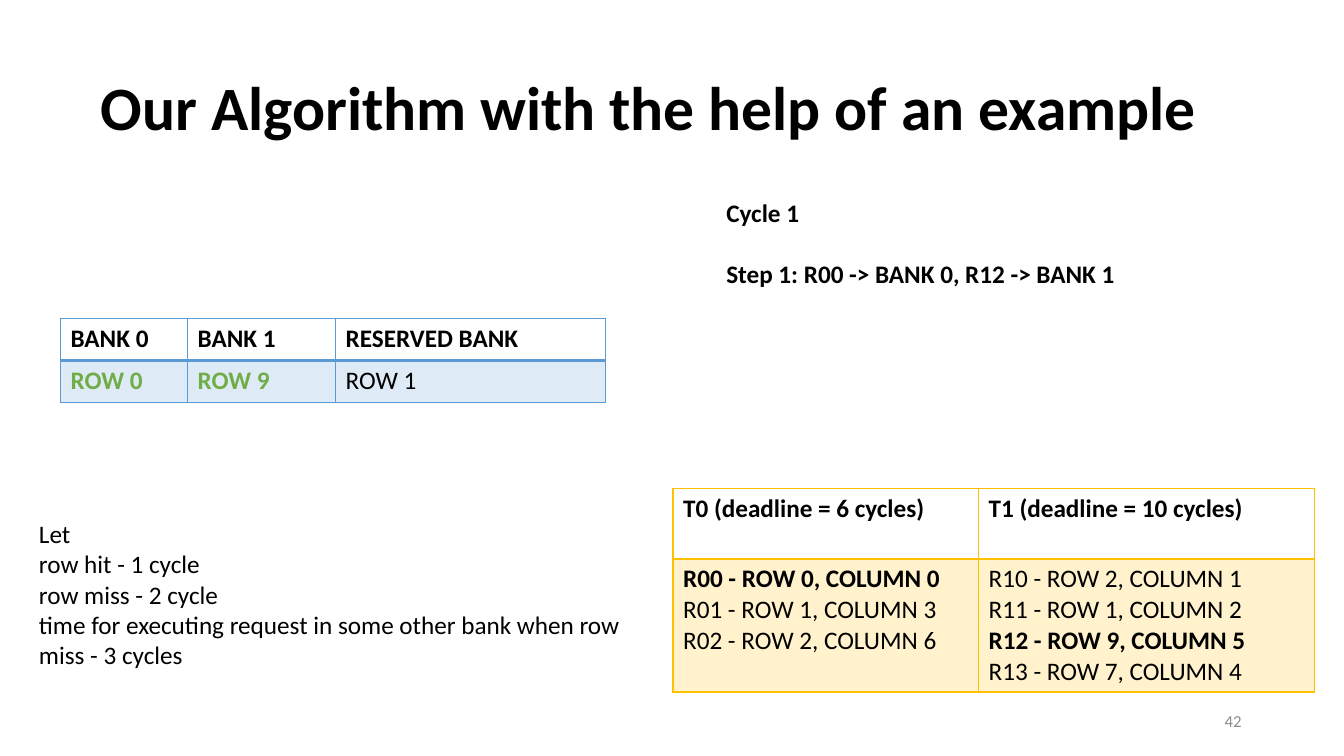
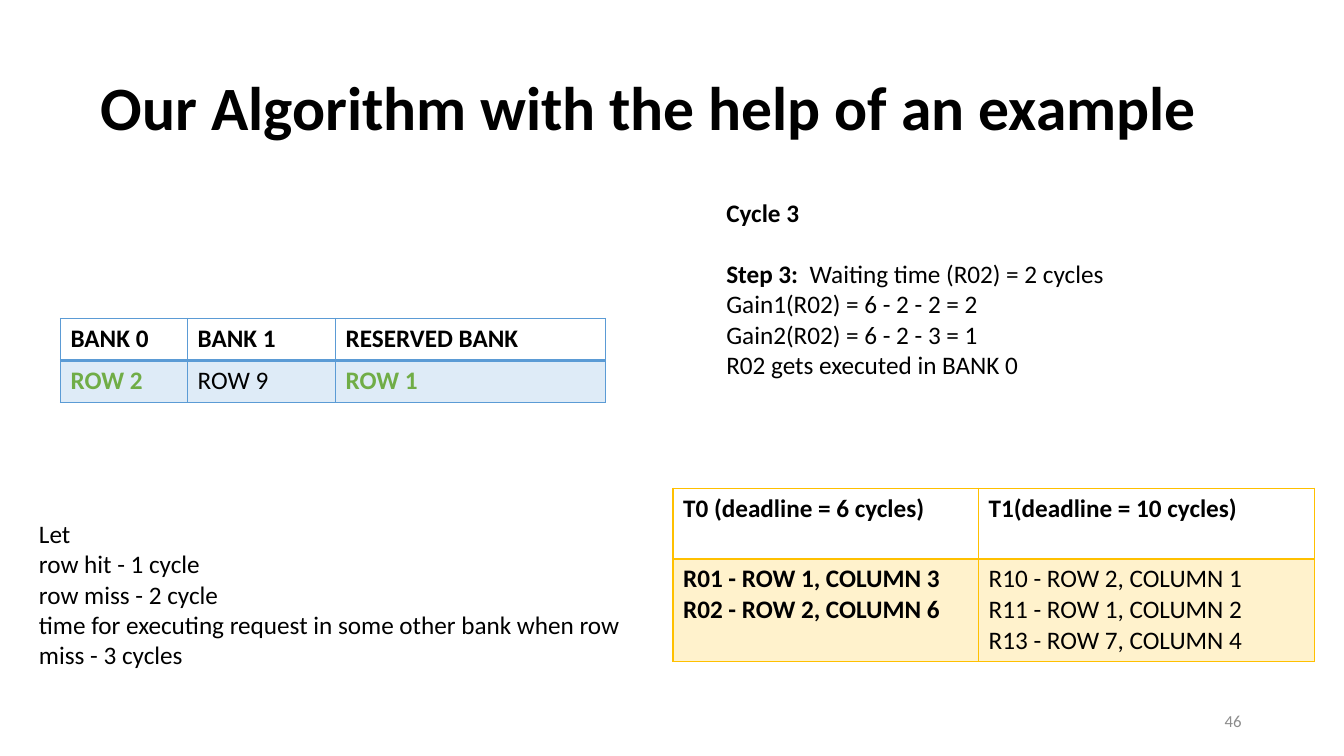
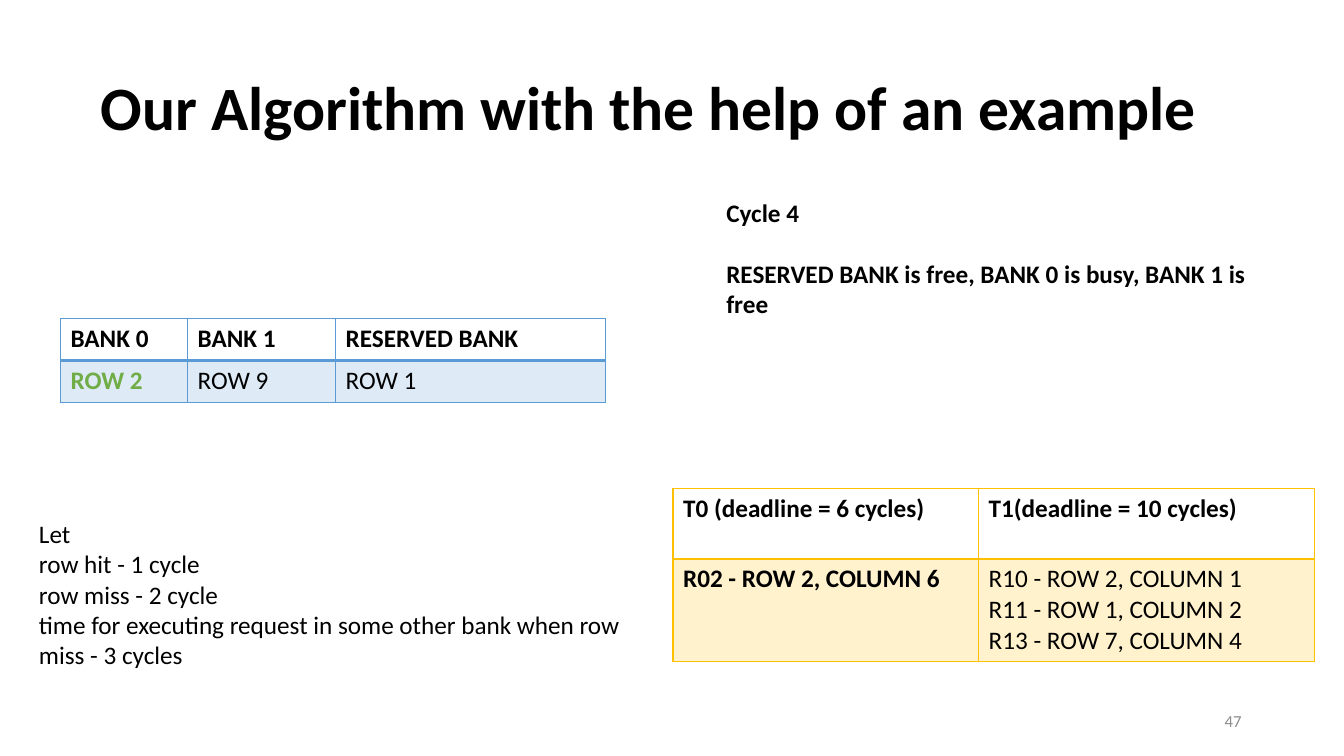
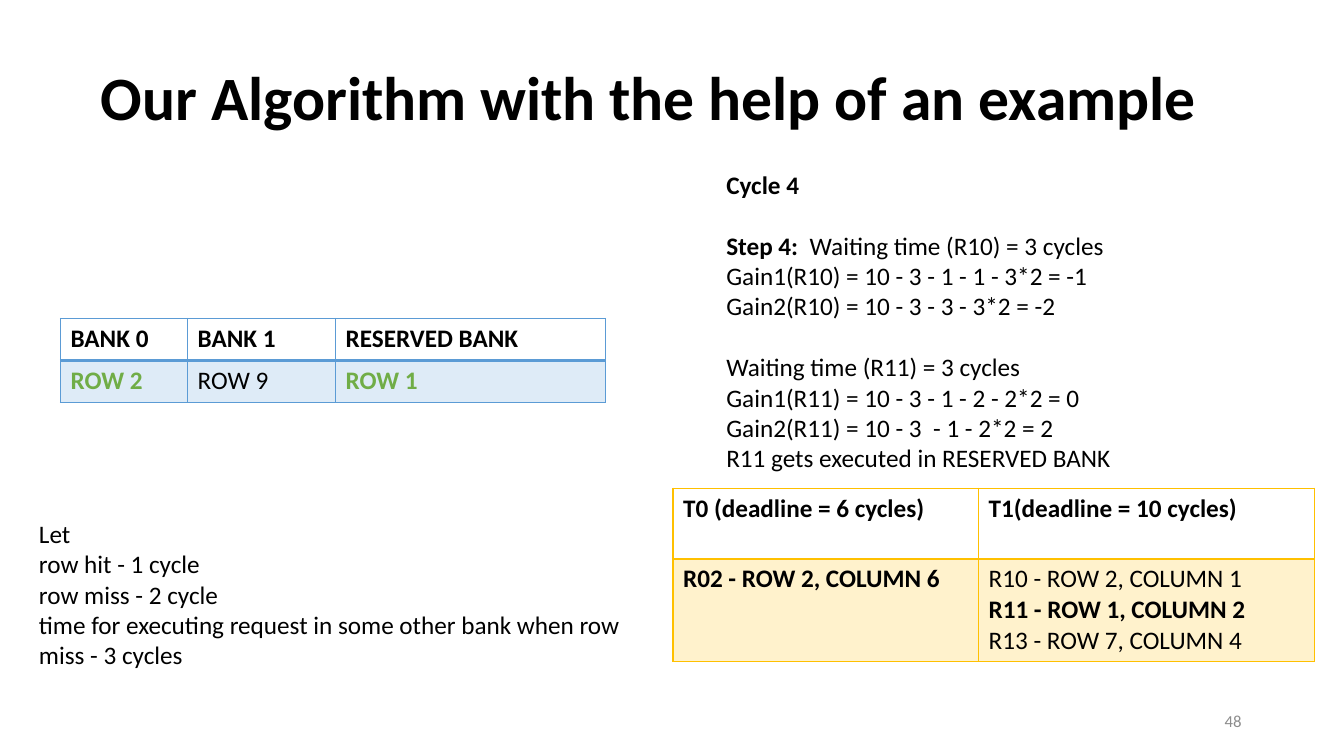
from pptx import Presentation
from pptx.dml.color import RGBColor
from pptx.enum import text
from pptx.oxml import parse_xml
from pptx.oxml.ns import nsdecls
from pptx.util import Pt

FONT = "Calibri"
BLACK = RGBColor(0x00, 0x00, 0x00)
GREY = RGBColor(0x8C, 0x8C, 0x8C)
GREEN = RGBColor(0x70, 0xAD, 0x47)
BLUE = RGBColor(0x5B, 0x9B, 0xD5)
BLUE_TINT = RGBColor(0xDE, 0xEB, 0xF7)
GOLD = RGBColor(0xFF, 0xC0, 0x00)
GOLD_TINT = RGBColor(0xFF, 0xF2, 0xCC)

LINE = 22  # height of one line of body text
TITLE = "Our Algorithm with the help of an example"
BANKS = ["BANK 0", "BANK 1", "RESERVED BANK"]
LEGEND = [
    "Let",
    "row hit - 1 cycle",
    "row miss - 2 cycle",
    "time for executing request in some other bank when row miss - 3 cycles",
]
REQUESTS = {
    "R00": "ROW 0, COLUMN 0",
    "R01": "ROW 1, COLUMN 3",
    "R02": "ROW 2, COLUMN 6",
    "R10": "ROW 2, COLUMN 1",
    "R11": "ROW 1, COLUMN 2",
    "R12": "ROW 9, COLUMN 5",
    "R13": "ROW 7, COLUMN 4",
}

# Steps are groups of (bold part, plain part) lines, with a gap between groups.
SLIDES = [
    dict(number=42,
         banks=["ROW 0", "ROW 9", "ROW 1"], busy={0, 1},
         tasks=["R00 R01 R02", "R10 R11 R12 R13"], served={"R00", "R12"},
         t1="T1 (deadline = 10 cycles)",
         steps=[[("Cycle 1", "")],
                [("Step 1: R00 -> BANK 0, R12 -> BANK 1", "")]]),
    dict(number=46,
         banks=["ROW 2", "ROW 9", "ROW 1"], busy={0, 2},
         tasks=["R01 R02", "R10 R11 R13"], served={"R01", "R02"},
         steps=[[("Cycle 3", "")],
                [("Step 3:  ", "Waiting time (R02) = 2 cycles"),
                 ("", "Gain1(R02) = 6 - 2 - 2 = 2"),
                 ("", "Gain2(R02) = 6 - 2 - 3 = 1"),
                 ("", "R02 gets executed in BANK 0")]]),
    dict(number=47,
         banks=["ROW 2", "ROW 9", "ROW 1"], busy={0},
         tasks=["R02", "R10 R11 R13"], served={"R02"},
         steps=[[("Cycle 4", "")],
                [("RESERVED BANK is free, BANK 0 is busy, BANK 1 is free", "")]]),
    dict(number=48, title_top=19.5, steps_top=117.25,
         banks=["ROW 2", "ROW 9", "ROW 1"], busy={0, 2},
         tasks=["R02", "R10 R11 R13"], served={"R02", "R11"},
         steps=[[("Cycle 4", "")],
                [("Step 4:  ", "Waiting time (R10) = 3 cycles"),
                 ("", "Gain1(R10) = 10 - 3 - 1 - 1 - 3*2 = -1"),
                 ("", "Gain2(R10) = 10 - 3 - 3 - 3*2 = -2")],
                [("", "Waiting time (R11) = 3 cycles"),
                 ("", "Gain1(R11) = 10 - 3 - 1 - 2 - 2*2 = 0"),
                 ("", "Gain2(R11) = 10 - 3  - 1 - 2*2 = 2"),
                 ("", "R11 gets executed in RESERVED BANK")]]),
]


# Text helpers
def add_run(p, words, size=18, bold=False, color=BLACK):
    r = p.add_run()
    r.text = words
    r.font.name, r.font.size, r.font.bold = FONT, Pt(size), bold
    r.font.color.rgb = color


def next_paragraph(tf):
    """Return the unused first paragraph, or a new one."""
    return tf.add_paragraph() if tf.paragraphs[0].runs else tf.paragraphs[0]


def add_box(s, box, anchor=text.MSO_ANCHOR.TOP):
    tf = s.shapes.add_textbox(*map(Pt, box)).text_frame
    tf.word_wrap = True
    tf.vertical_anchor = anchor
    return tf


# Table helpers
def set_borders(cell, color, bottom=1):
    tcPr = cell._tc.get_or_add_tcPr()
    for side, width in zip("LRTB", (1, 1, 1, bottom)):
        tcPr.append(parse_xml(
            f'<a:ln{side} {nsdecls("a")} w="{Pt(width)}"><a:solidFill>'
            f'<a:srgbClr val="{color}"/></a:solidFill></a:ln{side}>'))


def add_grid(s, left, top, widths, heights, headers, color, tint):
    """Draw a table with a header row and return its empty body cells."""
    table = s.shapes.add_table(2, len(widths), Pt(left), Pt(top),
                               Pt(sum(widths)), Pt(sum(heights))).table
    table.first_row = table.horz_banding = False
    for column, width in zip(table.columns, widths):
        column.width = Pt(width)
    for row, height in zip(table.rows, heights):
        row.height = Pt(height)
    for i, header in enumerate(headers):
        head, body = table.cell(0, i), table.cell(1, i)
        set_borders(head, color, bottom=2)
        head.fill.background()
        add_run(head.text_frame.paragraphs[0], header, bold=True)
        set_borders(body, color)
        body.fill.solid()
        body.fill.fore_color.rgb = tint
    return list(table.rows[1].cells)


# Slide regions
def add_title(s, box):
    p = add_box(s, box, text.MSO_ANCHOR.MIDDLE).paragraphs[0]
    p.line_spacing = 0.9
    add_run(p, TITLE, 44, True)


def add_task_table(s, left, top, t1, tasks, served):
    queues = [task.split() for task in tasks]
    body_height = max(map(len, queues)) * LINE + 7.2
    cells = add_grid(s, left, top, [218.25, 239.75], [50.4, body_height],
                     ["T0 (deadline = 6 cycles)", t1], GOLD, GOLD_TINT)
    for cell, queue in zip(cells, queues):
        for name in queue:
            add_run(next_paragraph(cell.text_frame),
                    f"{name} - {REQUESTS[name]}", bold=name in served)


def add_steps(s, box, groups):
    tf = add_box(s, box)
    for g, group in enumerate(groups):
        for i, (bold, plain) in enumerate(group):
            p = next_paragraph(tf)
            if g and i == 0:
                p.space_before = Pt(LINE)
            for words, is_bold in ((bold, True), (plain, False)):
                if words:
                    add_run(p, words, bold=is_bold)


def add_bank_table(s, left, top, rows, busy):
    cells = add_grid(s, left, top, [90.75, 105.75, 193], [30, 30],
                     BANKS, BLUE, BLUE_TINT)
    for i, (cell, row) in enumerate(zip(cells, rows)):
        add_run(cell.text_frame.paragraphs[0], row, bold=i in busy,
                color=GREEN if i in busy else BLACK)


def add_legend(s, box):
    tf = add_box(s, box)
    for line in LEGEND:
        add_run(next_paragraph(tf), line)


def add_number(s, box, number):
    p = add_box(s, box, text.MSO_ANCHOR.MIDDLE).paragraphs[0]
    p.alignment = text.PP_ALIGN.RIGHT
    add_run(p, str(number), 12, color=GREY)


def add_example(prs, number, banks, busy, tasks, served, steps,
                t1="T1(deadline = 10 cycles)", title_top=27, steps_top=137.5):
    s = prs.slides.add_slide(prs.slide_layouts[6])
    lines = sum(map(len, steps)) + len(steps) - 1
    add_title(s, (64.8, title_top, 828, 104.4))
    add_task_table(s, 480.75, 348.75, t1, tasks, served)
    add_steps(s, (511.75, steps_top, 404.5, lines * LINE + 7.2), steps)
    add_bank_table(s, 43.25, 227.5, banks, busy)
    add_legend(s, (20.75, 366.75, 445, 115.2))
    add_number(s, (678, 500.5, 216, 28.8), number)


def main():
    prs = Presentation()
    prs.slide_width, prs.slide_height = Pt(960), Pt(540)
    for content in SLIDES:
        add_example(prs, **content)
    prs.save("out.pptx")


if __name__ == "__main__":
    main()
